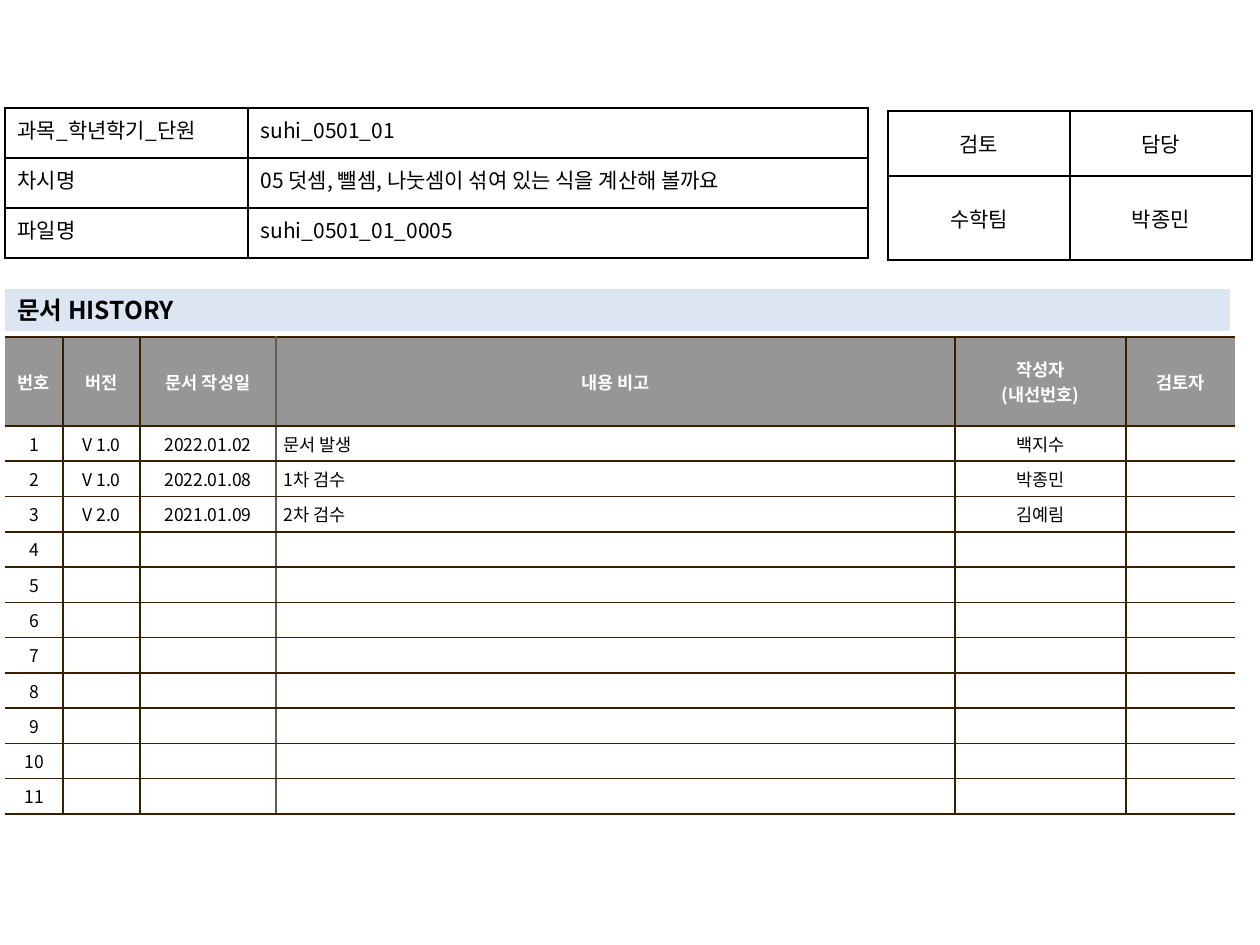
from dataclasses import dataclass

from lxml import etree
from pptx import Presentation, util as u
from pptx.dml.color import RGBColor
from pptx.enum import shapes, text
from pptx.oxml.ns import qn


@dataclass(frozen=True)
class Theme:
    font: str = "Noto Sans CJK KR"
    ink: str = "000000"
    white: str = "FFFFFF"
    head: str = "969696"
    band: str = "DCE6F2"
    rule: str = "362000"
    soft: str = "645B4C"
    small: int = 10
    body: int = 12
    title: int = 14


T = Theme()
A = text.PP_ALIGN
MID = text.MSO_ANCHOR.MIDDLE
TOP = text.MSO_ANCHOR.TOP
SCALE = 914400 // 126

HEADS = ["번호", "버전", "문서 작성일", "내용 비고", "작성자\n(내선번호)", "검토자"]
LOG = [
    ("V 1.0", "2022.01.02", "문서 발생", "백지수", ""),
    ("V 1.0", "2022.01.08", "1차 검수", "박종민", ""),
    ("V 2.0", "2021.01.09", "2차 검수", "김예림", ""),
]
COUNT = 11
REVIEW = [("검토", "담당"), ("수학팀", "박종민")]
INFO = [
    ("과목_학년학기_단원", "suhi_0501_01"),
    ("차시명", "05 덧셈, 뺄셈, 나눗셈이 섞여 있는 식을 계산해 볼까요"),
    ("파일명", "suhi_0501_01_0005"),
]
TITLE = "문서 HISTORY"


def px(n):
    return u.Emu(n * SCALE)


def write(frame, words, size=T.body, color=T.ink, bold=False, align=A.LEFT):
    for i, line in enumerate(words.split("\n")):
        para = frame.add_paragraph() if i else frame.paragraphs[0]
        para.alignment = align
        if not line:
            # An empty cell keeps its row low only with a sized paragraph end.
            etree.SubElement(para._p, qn("a:endParaRPr"), sz=str(size * 100))
            continue
        run = para.add_run()
        run.text = line
        font = run.font
        font.name, font.size, font.bold = T.font, u.Pt(size), bold
        font.color.rgb = RGBColor.from_string(color)
        etree.SubElement(font._element, qn("a:ea"), typeface=T.font)


def edge(cell, side, color):
    """Draw one cell border, or clear it when color is None."""
    line = etree.SubElement(cell._tc.get_or_add_tcPr(), qn("a:ln" + side), w="12700")
    if color:
        fill = etree.SubElement(line, qn("a:solidFill"))
        etree.SubElement(fill, qn("a:srgbClr"), val=color)
    else:
        etree.SubElement(line, qn("a:noFill"))


def grid(slide, left, top, cols, rows, data, style):
    """Add a table; style(row, col) gives rules, fill, inset, anchor and format."""
    box = slide.shapes.add_table(len(rows), len(cols), px(left), px(top),
                                 px(sum(cols)), px(sum(rows)))
    table = box.table
    table.first_row = table.horz_banding = False
    for col, wide in zip(table.columns, cols):
        col.width = px(wide)
    for row, high in zip(table.rows, rows):
        row.height = px(high)
    for r, line in enumerate(data):
        for c, words in enumerate(line):
            cell = table.cell(r, c)
            rules, fill, inset, anchor, form = style(r, c)
            for side, color in zip("LRTB", rules):
                edge(cell, side, color)
            if fill:
                cell.fill.solid()
                cell.fill.fore_color.rgb = RGBColor.from_string(fill)
            else:
                cell.fill.background()
            wide, high = map(u.Inches, inset)
            cell.margin_left = cell.margin_right = wide
            cell.margin_top = cell.margin_bottom = high
            cell.vertical_anchor = anchor
            write(cell.text_frame, words, **form)


def history(r, c):
    walls = [None, T.rule, T.rule, T.soft, T.rule, T.rule, None]
    rules = walls[c], walls[c + 1], T.rule, T.rule
    top = r == 0
    form = dict(size=T.small, bold=top, color=T.white if top else T.ink,
                align=A.LEFT if c == 3 and not top else A.CENTER)
    return rules, T.head if top else T.white, (0.06, 0.04), MID, form


def review(r, c):
    return [T.ink] * 4, None, (0.1, 0.05), MID, dict(align=A.CENTER)


def info(r, c):
    form = dict(align=A.LEFT if c else A.JUSTIFY)
    return [T.ink] * 4, None, (0.1, 0.05), TOP, form


def banner(slide):
    bar = slide.shapes.add_shape(shapes.MSO_SHAPE.RECTANGLE,
                                 px(5), px(289), px(1225), px(42))
    bar.shadow.inherit = False
    bar.fill.solid()
    bar.fill.fore_color.rgb = RGBColor.from_string(T.band)
    bar.line.fill.background()
    bar.text_frame.word_wrap = True
    bar.text_frame.vertical_anchor = MID
    write(bar.text_frame, TITLE, size=T.title, bold=True)


def main():
    deck = Presentation()
    deck.slide_width, deck.slide_height = u.Inches(10), u.Inches(7.5)
    slide = deck.slides.add_slide(deck.slide_layouts[6])
    blank = ("",) * (len(HEADS) - 1)
    lines = LOG + [blank] * (COUNT - len(LOG))
    data = [HEADS] + [(str(n), *line) for n, line in enumerate(lines, 1)]
    grid(slide, 5, 337, [58, 77, 136, 679, 171, 109], [89] + [35] * COUNT,
         data, history)
    grid(slide, 888, 111, [182] * 2, [65, 84], REVIEW, review)
    banner(slide)
    grid(slide, 5, 108, [243, 620], [50] * 3, INFO, info)
    deck.save("out.pptx")


if __name__ == "__main__":
    main()
